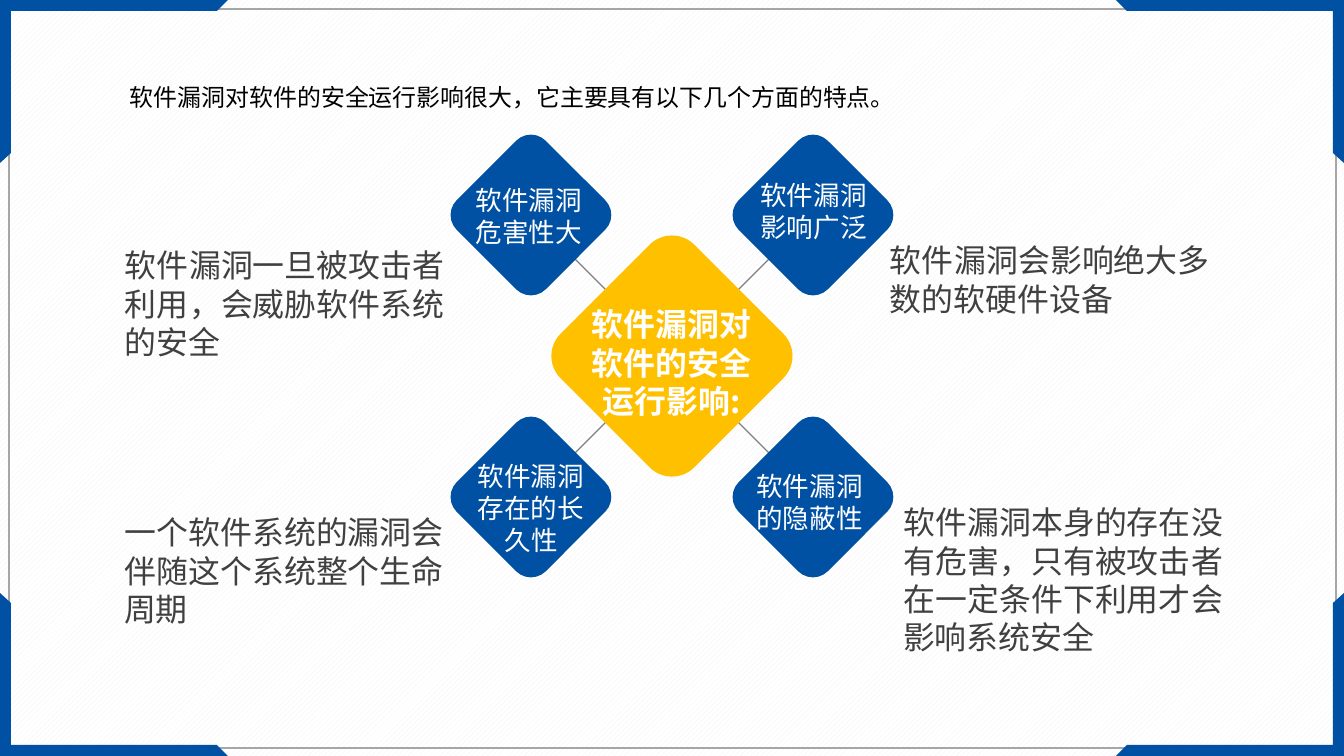
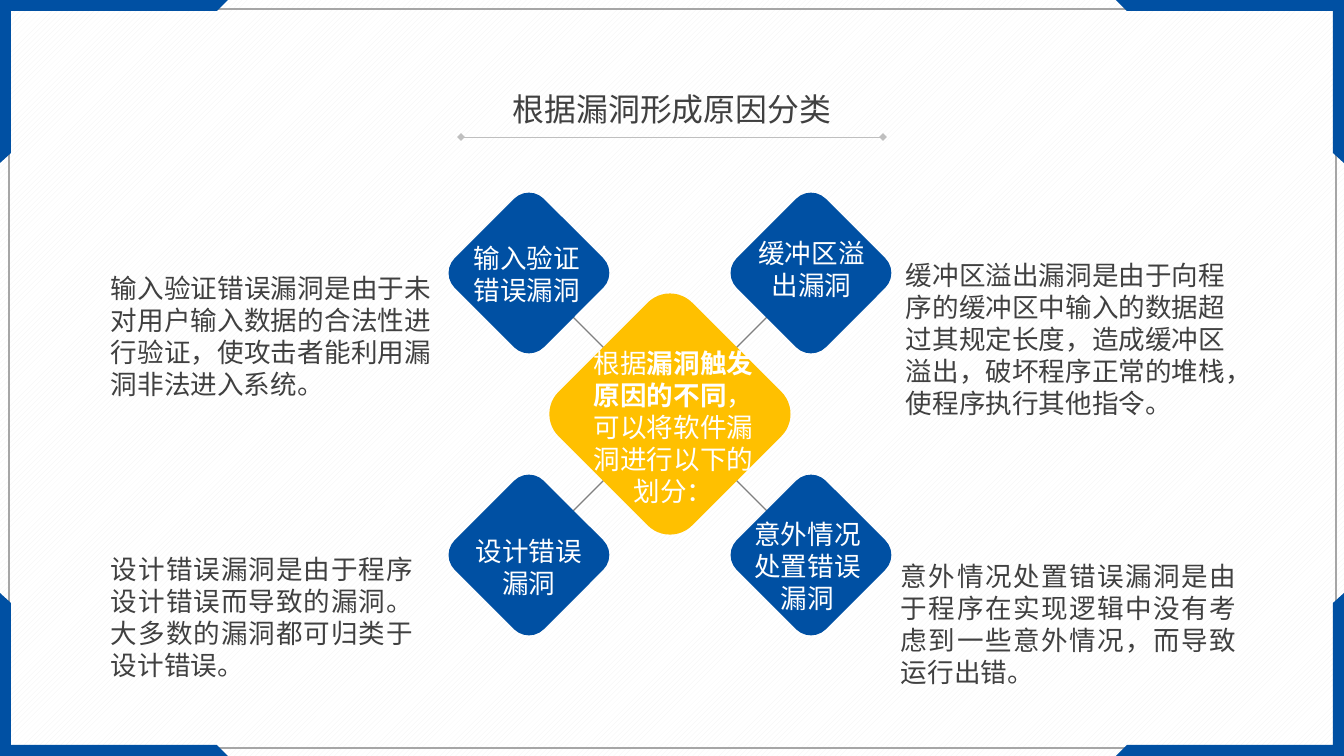
from lxml.etree import SubElement
from pptx import Presentation
from pptx.dml.color import RGBColor
from pptx.enum.dml import MSO_PATTERN
from pptx.enum.shapes import MSO_CONNECTOR, MSO_SHAPE
from pptx.enum.text import MSO_ANCHOR, MSO_AUTO_SIZE, PP_ALIGN
from pptx.oxml.ns import qn
from pptx.util import Pt

PX = 9566  # EMU in one px
WIDTH, HEIGHT = 1344, 756
FONT = "Noto Sans CJK SC"
BLUE, AMBER, WHITE, BLACK = "0050A3", "FFC000", "FFFFFF", "000000"
INK, FRAME_GREY, SPOKE_GREY, RULE_GREY = "404040", "A6A6A6", "808080", "BFBFBF"

# Diamond cluster, measured from its centre
CORE_SIDE, PETAL_SIDE, PETAL_OFFSET = 189, 126, 141
SPOKE_START, SPOKE_END = 53, 106
CORNERS = [(-1, -1), (1, -1), (-1, 1), (1, 1)]
LABEL_SPANS = [(-217, 148), (70, 143), (-208, 134), (66, 143)]  # left, width
CORE_TEXT_WIDTH = 183


def px(*lengths):
    return [length * PX for length in lengths]


def color(hex_string):
    return RGBColor.from_string(hex_string)


def paint(shape, fill):
    shape.shadow.inherit = False
    shape.fill.solid()
    shape.fill.fore_color.rgb = color(fill)
    shape.line.fill.background()


def write(frame, parts, size, ink, align):
    """Fill a text frame with one paragraph of (text, bold) parts."""
    frame.word_wrap = True
    frame.auto_size = MSO_AUTO_SIZE.NONE
    frame.vertical_anchor = MSO_ANCHOR.TOP
    frame.margin_left, frame.margin_right = px(9, 9)
    frame.margin_top, frame.margin_bottom = px(5, 5)
    paragraph = frame.paragraphs[0]
    paragraph.alignment = align
    for text, bold in parts:
        run = paragraph.add_run()
        run.text = text
        run.font.size = Pt(size)
        run.font.bold = bold
        run.font.color.rgb = color(ink)
        run.font.name = FONT
        SubElement(run.font._element, qn("a:ea"), typeface=FONT)
    return paragraph


def add_text(slide, box, parts, size, ink, align):
    write(slide.shapes.add_textbox(*px(*box)).text_frame, parts, size, ink, align)


def add_line(slide, ends, ink, weight, arrowhead=None):
    line = slide.shapes.add_connector(MSO_CONNECTOR.STRAIGHT, *px(*ends))
    line.line.color.rgb = color(ink)
    line.line.width = Pt(weight)
    if arrowhead:
        for end in ("a:headEnd", "a:tailEnd"):
            SubElement(line.line._get_or_add_ln(), qn(end), type=arrowhead)
    SubElement(line._element.spPr, qn("a:effectLst"))


def add_frame(slide):
    """Grey outline with a blue bracket mirrored into each corner."""
    outline = slide.shapes.add_shape(MSO_SHAPE.RECTANGLE, *px(9, 9, WIDTH - 17, HEIGHT - 17))
    outline.shadow.inherit = False
    outline.fill.background()
    outline.line.color.rgb = color(FRAME_GREY)
    outline.line.width = Pt(2)
    bracket = [(0, 0), (228, 0), (217, 11), (11, 11), (11, 153), (0, 163)]
    for side, level in CORNERS:
        points = [(x if side < 0 else WIDTH - x, y if level < 0 else HEIGHT - y)
                  for x, y in bracket]
        builder = slide.shapes.build_freeform(*points[0], scale=PX)
        builder.add_line_segments(points[1:], close=True)
        paint(builder.convert_to_shape(), BLUE)


def add_title(slide, box, text, size, ink, align, spacing=1.0):
    title = slide.shapes.title
    title.left, title.top, title.width, title.height = px(*box)
    write(title.text_frame, [(text, False)], size, ink, align).line_spacing = spacing


def add_diamond(slide, x, y, side, fill):
    box = (x - side / 2, y - side / 2, side, side)
    diamond = slide.shapes.add_shape(MSO_SHAPE.ROUNDED_RECTANGLE,
                                     *[round(v) for v in px(*box)])
    diamond.rotation = 315
    paint(diamond, fill)


def add_cluster(slide, center, labels, core):
    """Amber core joined to four blue petals; text is placed from the centre."""
    cx, cy = center
    for dx, dy in CORNERS:
        add_line(slide, (cx + dx * SPOKE_START, cy + dy * SPOKE_START,
                         cx + dx * SPOKE_END, cy + dy * SPOKE_END), SPOKE_GREY, 1)
    for (dx, dy), (left, width), (text, top, height) in zip(CORNERS, LABEL_SPANS, labels):
        add_diamond(slide, cx + dx * PETAL_OFFSET, cy + dy * PETAL_OFFSET, PETAL_SIDE, BLUE)
        add_text(slide, (cx + left, cy + top, width, height), [(text, False)],
                 20, WHITE, PP_ALIGN.CENTER)
    add_diamond(slide, cx, cy, CORE_SIDE, AMBER)
    parts, size, left, top, height = core
    add_text(slide, (cx + left, cy + top, CORE_TEXT_WIDTH, height), parts,
             size, WHITE, PP_ALIGN.CENTER)


def add_captions(slide, captions, size):
    for box, text, align in captions:
        add_text(slide, box, [(text, False)], size, INK, align)


def new_slide(prs):
    slide = prs.slides.add_slide(prs.slide_layouts[5])
    add_frame(slide)
    return slide


def build_features(prs):
    slide = new_slide(prs)
    add_title(slide, (121, 63, 965, 48),
              "软件漏洞对软件的安全运行影响很大，它主要具有以下几个方面的特点。",
              18, BLACK, PP_ALIGN.LEFT, 1.5)
    add_cluster(slide, (672, 356), [
        ("软件漏洞危害性大", -177, 74),
        ("软件漏洞影响广泛", -182, 74),
        ("软件漏洞存在的长久性", 99, 106),
        ("软件漏洞的隐蔽性", 109, 74),
    ], ([("软件漏洞对软件的安全运行影响:", True)], 24, -92, -56, 125))
    add_captions(slide, [
        ((116, 241, 338, 125), "软件漏洞一旦被攻击者利用，会威胁软件系统的安全", PP_ALIGN.JUSTIFY),
        ((881, 236, 338, 86), "软件漏洞会影响绝大多数的软硬件设备", PP_ALIGN.JUSTIFY),
        ((115, 508, 338, 125), "一个软件系统的漏洞会伴随这个系统整个生命周期", PP_ALIGN.JUSTIFY),
        ((894, 498, 338, 163),
         "软件漏洞本身的存在没有危害，只有被攻击者在一定条件下利用才会影响系统安全",
         PP_ALIGN.JUSTIFY),
    ], 24)


def build_causes(prs):
    slide = new_slide(prs)
    add_title(slide, (328, 85, 688, 48), "根据漏洞形成原因分类", 24, INK, PP_ALIGN.CENTER)
    add_line(slide, (461, 137, 883, 137), RULE_GREY, 0.5, "diamond")
    add_cluster(slide, (670, 414), [
        ("输入验证错误漏洞", -177, 74),
        ("缓冲区溢出漏洞", -182, 74),
        ("设计错误漏洞", 116, 74),
        ("意外情况处置错误漏洞", 99, 106),
    ], ([("根据", False), ("漏洞触发原因的不同", True),
         ("，可以将软件漏洞进行以下的划分：", False)], 20, -88, -72, 202))
    add_captions(slide, [
        ((102, 267, 338, 138),
         "输入验证错误漏洞是由于未对用户输入数据的合法性进行验证，使攻击者能利用漏洞非法进入系统。",
         PP_ALIGN.JUSTIFY),
        ((897, 254, 348, 202),
         "缓冲区溢出漏洞是由于向程序的缓冲区中输入的数据超过其规定长度，造成缓冲区溢出，"
         "破坏程序正常的堆栈，使程序执行其他指令。", PP_ALIGN.LEFT),
        ((102, 548, 320, 138),
         "设计错误漏洞是由于程序设计错误而导致的漏洞。大多数的漏洞都可归类于设计错误。",
         PP_ALIGN.JUSTIFY),
        ((892, 555, 353, 138),
         "意外情况处置错误漏洞是由于程序在实现逻辑中没有考虑到一些意外情况，而导致运行出错。",
         PP_ALIGN.JUSTIFY),
    ], 20)


def main():
    prs = Presentation()
    prs.slide_width, prs.slide_height = px(WIDTH, HEIGHT)
    # Hatched background shared through the master
    backdrop = prs.slide_master.background.fill
    backdrop.patterned()
    backdrop.pattern = MSO_PATTERN.WIDE_UPWARD_DIAGONAL
    backdrop.fore_color.rgb = color("F2F2F2")
    backdrop.back_color.rgb = color(WHITE)
    build_features(prs)
    build_causes(prs)
    prs.save("out.pptx")


if __name__ == "__main__":
    main()
